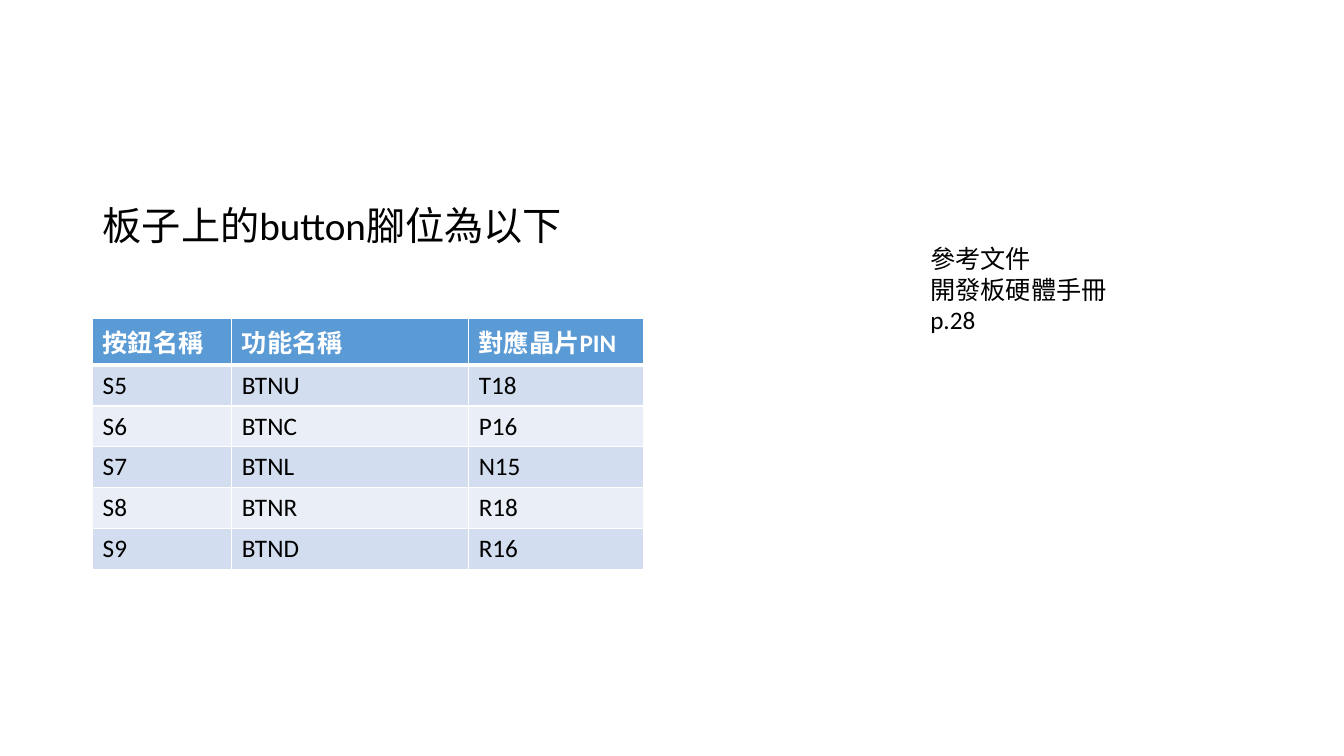
from dataclasses import dataclass

from lxml import etree
from pptx import Presentation
from pptx.dml.color import RGBColor
from pptx.enum import text
from pptx.oxml import ns
from pptx.util import Pt


@dataclass(frozen=True)
class Theme:
    font: str = "Calibri"
    ink: str = "000000"
    white: str = "FFFFFF"
    header: str = "5B9BD5"
    bands: tuple = ("D2DEEF", "EAEFF7")
    heading_size: int = 28
    body_size: int = 18
    grid_width: int = 1
    header_rule_width: int = 3


THEME = Theme()

HEADING = "板子上的button腳位為以下"
PIN_HEADER = ("按鈕名稱", "功能名稱", "對應晶片PIN")
PINS = (
    ("S5", "BTNU", "T18"),
    ("S6", "BTNC", "P16"),
    ("S7", "BTNL", "N15"),
    ("S8", "BTNR", "R18"),
    ("S9", "BTND", "R16"),
)
COLUMN_WIDTHS = (99.4, 169.2, 124.9)
REFERENCE = ("參考文件", "開發板硬體手冊", "p.28")


def add_text(paragraph, words, size, color=THEME.ink, bold=False):
    run = paragraph.add_run()
    run.text = words
    run.font.name = THEME.font
    run.font.size = Pt(size)
    run.font.bold = bold
    run.font.color.rgb = RGBColor.from_string(color)


def place(shape, box):
    shape.left, shape.top, shape.width, shape.height = (Pt(v) for v in box)


def add_borders(cell, widths):
    """Draw white cell edges; widths maps L, R, T, B to points."""
    properties = cell._tc.get_or_add_tcPr()
    for side, width in widths.items():
        edge = etree.SubElement(properties, ns.qn(f"a:ln{side}"), w=str(Pt(width)))
        fill = etree.SubElement(edge, ns.qn("a:solidFill"))
        etree.SubElement(fill, ns.qn("a:srgbClr"), val=THEME.white)


def add_heading(slide, box):
    title = slide.shapes.title
    place(title, box)
    frame = title.text_frame
    frame.word_wrap = True
    frame.auto_size = text.MSO_AUTO_SIZE.NONE
    frame.vertical_anchor = text.MSO_ANCHOR.TOP
    paragraph = frame.paragraphs[0]
    paragraph.alignment = text.PP_ALIGN.LEFT
    paragraph.line_spacing = 0.9
    add_text(paragraph, HEADING, THEME.heading_size)


def add_pin_table(slide, box):
    rows = (PIN_HEADER, *PINS)
    frame = slide.shapes.add_table(len(rows), len(PIN_HEADER), *(Pt(v) for v in box))
    table = frame.table
    for column, width in zip(table.columns, COLUMN_WIDTHS):
        column.width = Pt(width)

    for r, row in enumerate(rows):
        table.rows[r].height = Pt(box[3] / len(rows))
        is_header = r == 0
        fill = THEME.header if is_header else THEME.bands[(r - 1) % 2]
        ink = THEME.white if is_header else THEME.ink
        edges = dict.fromkeys("LRTB", THEME.grid_width)
        if is_header:
            edges["B"] = THEME.header_rule_width
        elif r == 1:
            edges["T"] = THEME.header_rule_width
        for c, words in enumerate(row):
            cell = table.cell(r, c)
            add_borders(cell, edges)
            cell.fill.solid()
            cell.fill.fore_color.rgb = RGBColor.from_string(fill)
            add_text(cell.text_frame.paragraphs[0], words, THEME.body_size, ink, is_header)


def add_reference(slide, box):
    frame = slide.shapes.add_textbox(*(Pt(v) for v in box)).text_frame
    frame.word_wrap = True
    frame.auto_size = text.MSO_AUTO_SIZE.SHAPE_TO_FIT_TEXT
    for i, line in enumerate(REFERENCE):
        paragraph = frame.add_paragraph() if i else frame.paragraphs[0]
        add_text(paragraph, line, THEME.body_size)


def main():
    deck = Presentation()
    deck.slide_width, deck.slide_height = Pt(960), Pt(540)
    slide = deck.slides.add_slide(deck.slide_layouts[5])  # title only

    left = 66.2
    # Heading above the pin table
    add_heading(slide, (left, 144, 828, 60))
    # Button, function and chip pin
    add_pin_table(slide, (left, 227.5, sum(COLUMN_WIDTHS), 175.2))
    # Source of the pin list
    add_reference(slide, (657.4, 170.6, 236.9, 72.7))

    deck.save("out.pptx")


if __name__ == "__main__":
    main()
